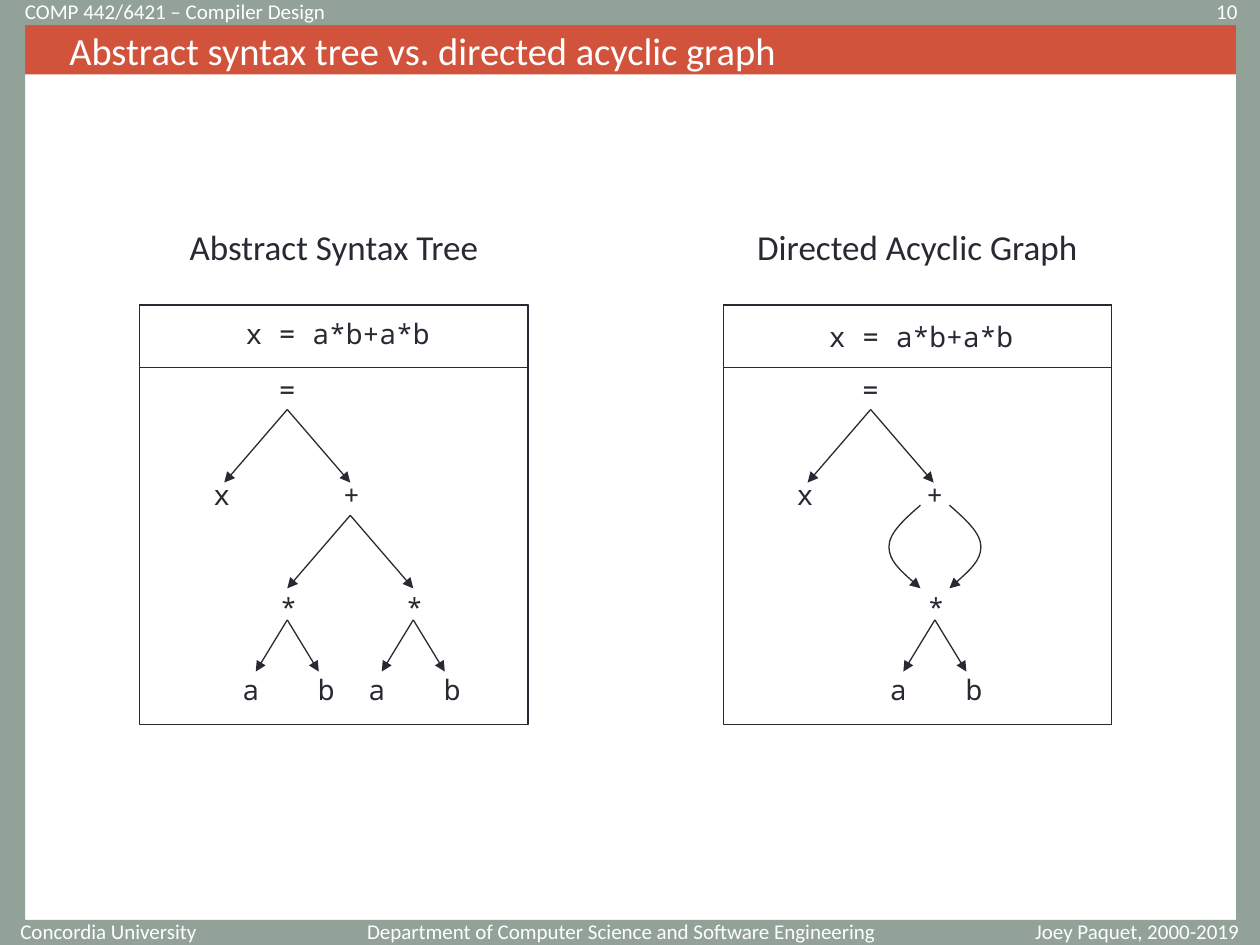
from dataclasses import dataclass

from lxml.etree import SubElement
from pptx import Presentation
from pptx.dml.color import RGBColor
from pptx.enum.shapes import MSO_CONNECTOR as Connector, MSO_SHAPE as Shape
from pptx.enum.text import MSO_ANCHOR as Anchor, MSO_AUTO_SIZE as AutoSize, PP_ALIGN as Align
from pptx.oxml.ns import qn
from pptx.util import Inches, Pt

COLORS = {"frame": "93A299", "title": "D2533C", "ink": "292934", "white": "FFFFFF"}
SANS, MONO = "Calibri", "Noto Sans Mono"
NODE_WIDTH, NODE_HEIGHT = 0.33, 0.37
EXPRESSION = "x = a*b+a*b"


@dataclass
class Node:
    text: str
    center: float
    top: float


@dataclass
class Fork:
    center: float
    top: float
    half_width: float
    height: float


@dataclass
class Panel:
    heading: str
    left: float
    top: float
    expression_top: float
    nodes: list[Node]
    forks: list[Fork]
    loop_center: float | None = None


@dataclass
class Label:
    text: str
    left: float
    top: float
    width: float
    align: Align


def color(name: str) -> RGBColor:
    return RGBColor.from_string(COLORS[name])


def format_paragraph(paragraph, text: str, size: float, font: str, ink: str, align: Align) -> None:
    paragraph.text = text
    paragraph.alignment = align
    paragraph.font.size = Pt(size)
    paragraph.font.name = font
    paragraph.font.color.rgb = color(ink)


def add_text(shapes, text: str, left: float, top: float, width: float, height: float, size: float,
             font: str, ink: str, align: Align, anchor: Anchor = Anchor.TOP) -> None:
    box = shapes.add_textbox(Inches(left), Inches(top), Inches(width), Inches(height))
    box.text_frame.word_wrap = False
    box.text_frame.vertical_anchor = anchor
    format_paragraph(box.text_frame.paragraphs[0], text, size, font, ink, align)


def add_bar(shapes, left: float, top: float, width: float, height: float) -> None:
    bar = shapes.add_shape(Shape.RECTANGLE, Inches(left), Inches(top), Inches(width), Inches(height))
    bar.shadow.inherit = False
    bar.fill.solid()
    bar.fill.fore_color.rgb = color("frame")
    bar.line.fill.background()


def add_outline(shapes, left: float, top: float, width: float, height: float) -> None:
    outline = shapes.add_shape(Shape.RECTANGLE, Inches(left), Inches(top), Inches(width), Inches(height))
    outline.shadow.inherit = False
    outline.fill.background()
    style_line(outline)


def style_line(shape, arrow: bool = False) -> None:
    shape.line.color.rgb = color("ink")
    shape.line.width = Pt(0.75)
    if arrow:
        SubElement(shape.line._get_or_add_ln(), qn("a:tailEnd"), type="triangle")


def add_fork(shapes, fork: Fork, left: float, top: float) -> None:
    start_x, start_y = left + fork.center, top + fork.top
    for side in (-1, 1):
        arrow = shapes.add_connector(
            Connector.STRAIGHT, Inches(start_x), Inches(start_y),
            Inches(start_x + side * fork.half_width), Inches(start_y + fork.height))
        style_line(arrow, arrow=True)
        SubElement(arrow._element.spPr, qn("a:effectLst"))


def add_curved_arrow(shapes, x: float, y: float, side: int) -> None:
    bulge, drop = 0.25 * side, 0.66
    points = [(x + bulge * across, y + drop * down) for across, down in
              ((0.5, 1 / 6), (1, 1 / 3), (1, 1 / 2), (1, 2 / 3), (0.5, 5 / 6), (0, 1))]
    builder = shapes.build_freeform(Inches(x), Inches(y))
    builder.add_line_segments([(Inches(px), Inches(py)) for px, py in points], close=False)
    curve = builder.convert_to_shape()
    outline = next(curve._element.iter(qn("a:path")))
    segments = outline.findall(qn("a:lnTo"))
    for first in range(0, len(segments), 3):
        bezier = SubElement(outline, qn("a:cubicBezTo"))
        for segment in segments[first:first + 3]:
            bezier.append(segment[0])
            outline.remove(segment)
    curve.shadow.inherit = False
    curve.fill.background()
    style_line(curve, arrow=True)


def add_panel(slide, panel: Panel) -> None:
    shapes = slide.shapes.add_group_shape().shapes
    for node in panel.nodes:
        add_text(shapes, node.text, panel.left + node.center - NODE_WIDTH / 2, panel.top + node.top,
                 NODE_WIDTH, NODE_HEIGHT, 16, MONO, "ink", Align.RIGHT)
    for fork in panel.forks:
        add_fork(shapes, fork, panel.left, panel.top)
    if panel.loop_center is not None:
        for side in (-1, 1):
            add_curved_arrow(shapes, panel.left + panel.loop_center + side * 0.115,
                             panel.top + 1.59, side)
    add_text(shapes, EXPRESSION, panel.left + 0.73, panel.expression_top, 1.67, NODE_HEIGHT,
             16, MONO, "ink", Align.RIGHT)
    for height in (3.33, 0.5):
        add_outline(shapes, panel.left, panel.top, 3.08, height)
    add_text(slide.shapes, panel.heading, panel.left, 1.74, 3.08, 0.44, 20, SANS, "ink", Align.CENTER)


def star_nodes(center: float) -> list[Node]:
    return [Node("*", center, 2.22), Node("a", center - 0.3, 2.87), Node("b", center + 0.3, 2.87)]


def star_fork(center: float) -> Fork:
    return Fork(center, 2.5, 0.25, 0.41)


ROOT_NODES = [Node("=", 1.17, 0.49), Node("x", 0.65, 1.32), Node("+", 1.68, 1.32)]
ROOT_FORK = Fork(1.17, 0.83, 0.5, 0.58)
PANELS = [
    Panel("Abstract Syntax Tree", 1.11, 2.42, 2.46,
          ROOT_NODES + star_nodes(1.18) + star_nodes(2.18),
          [ROOT_FORK, Fork(1.67, 1.67, 0.5, 0.58), star_fork(1.17), star_fork(2.17)]),
    Panel("Directed Acyclic Graph", 5.74, 2.42, 2.49,
          ROOT_NODES + star_nodes(1.69), [ROOT_FORK, star_fork(1.68)], loop_center=1.68),
]
BARS = [(0, 0, 10, 0.2), (0, 7.3, 10, 0.2), (0, 0, 0.2, 7.44), (9.81, 0.18, 0.19, 7.32)]
LABELS = [
    Label("Concordia University", 0.03, 7.33, 1.63, Align.RIGHT),
    Label("Department of Computer Science and Software Engineering", 2.8, 7.33, 4.25, Align.RIGHT),
    Label("Joey Paquet, 2000-2019", 7.99, 7.33, 2.07, Align.CENTER),
    Label("10", 8.75, 0.03, 1.17, Align.RIGHT),
    Label("COMP 442/6421 – Compiler Design", 0.1, 0.03, 5.6, Align.LEFT),
]


def format_title(title) -> None:
    title.left, title.top, title.width, title.height = map(Inches, (0.2, 0.2, 9.62, 0.39))
    title.fill.solid()
    title.fill.fore_color.rgb = color("title")
    frame = title.text_frame
    frame.auto_size = AutoSize.NONE
    frame.vertical_anchor = Anchor.MIDDLE
    frame.margin_left = Inches(0.35)
    format_paragraph(frame.paragraphs[0], "Abstract syntax tree vs. directed acyclic graph",
                     22, SANS, "white", Align.LEFT)


def main() -> None:
    presentation = Presentation()
    presentation.slide_width, presentation.slide_height = Inches(10), Inches(7.5)
    slide = presentation.slides.add_slide(presentation.slide_layouts[5])
    for bar in BARS:
        add_bar(slide.shapes, *bar)
    format_title(slide.shapes.title)
    for label in LABELS:
        add_text(slide.shapes, label.text, label.left, label.top, label.width, 0.12,
                 12, SANS, "white", label.align, Anchor.MIDDLE)
    for panel in PANELS:
        add_panel(slide, panel)
    presentation.save("out.pptx")


if __name__ == "__main__":
    main()
